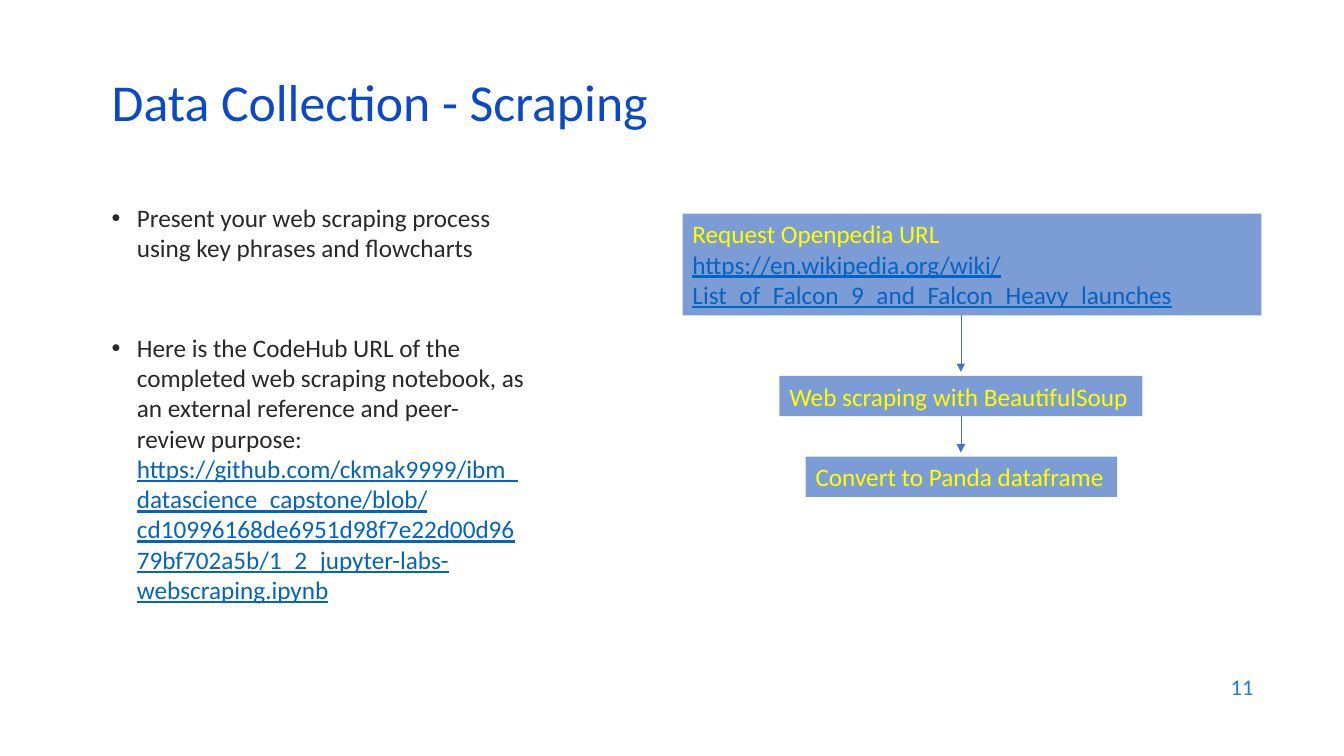
"""Build the web scraping slide with its notes and flowchart."""
from dataclasses import dataclass

import pptx
import pptx.dml.color
import pptx.enum.shapes
import pptx.enum.text
import pptx.oxml.ns
import pptx.util
from lxml import etree

Inches = pptx.util.Inches
Pt = pptx.util.Pt
Anchor = pptx.enum.text.MSO_ANCHOR
Align = pptx.enum.text.PP_ALIGN


@dataclass(frozen=True)
class Theme:
    font: str = "Calibri"
    title: str = "0B49CB"
    body: str = "292929"
    link: str = "0563C1"
    number: str = "1C7DDB"
    step: str = "4472C4"
    step_text: str = "FFFF00"
    title_size: int = 37
    body_size: int = 18
    number_size: int = 16


THEME = Theme()
NOTEBOOK_URL = (
    "https://github.com/ckmak9999/ibm_datascience_capstone/blob/"
    "cd10996168de6951d98f7e22d00d9679bf702a5b/1_2_jupyter-labs-webscraping.ipynb"
)
LAUNCHES_URL = "https://en.wikipedia.org/wiki/List_of_Falcon_9_and_Falcon_Heavy_launches"
FLOW_X = 9.53
STEPS = [
    (6.77, 2.12, 5.74, 1.01, ["Request Openpedia URL", LAUNCHES_URL]),
    (7.73, 3.73, 3.6, 0.4, ["Web scraping with BeautifulSoup"]),
    (7.99, 4.53, 3.09, 0.4, ["Convert to Panda dataframe"]),
]


def rgb(value):
    """Turn a hex string into a colour."""
    return pptx.dml.color.RGBColor.from_string(value)


def add_child(parent, tag, **attributes):
    """Append a drawing element to a parent element."""
    return etree.SubElement(parent, pptx.oxml.ns.qn(tag), **attributes)


def style_run(run, color, size):
    """Format a run, showing web addresses as underlined links."""
    is_link = run.text.startswith("https://")
    run.font.name = THEME.font
    run.font.size = Pt(size)
    run.font.color.rgb = rgb(THEME.link if is_link else color)
    if is_link:
        run.font.underline = True


def add_text(slide, left, top, width, height, anchor):
    """Add a wrapping text box and return its frame."""
    box = slide.shapes.add_textbox(Inches(left), Inches(top), Inches(width), Inches(height))
    box.text_frame.word_wrap = True
    box.text_frame.vertical_anchor = anchor
    return box.text_frame


def add_label(slide, place, text, color, size, align=Align.LEFT, spacing=1.0):
    """Add a single vertically centred line of text."""
    paragraph = add_text(slide, *place, Anchor.MIDDLE).paragraphs[0]
    paragraph.text = text
    paragraph.alignment = align
    paragraph.line_spacing = spacing
    style_run(paragraph.runs[0], color, size)


def add_bullet(paragraph, text, url=None):
    """Fill a bulleted paragraph, with an optional address on its own line."""
    properties = paragraph._p.get_or_add_pPr()
    properties.set("marL", str(Inches(0.25)))
    properties.set("indent", str(Inches(-0.25)))
    add_child(properties, "a:buFont", typeface="Arial")
    add_child(properties, "a:buChar", char="•")
    paragraph.add_run().text = text
    if url:
        paragraph.add_line_break()
        paragraph.add_run().text = url
    for run in paragraph.runs:
        style_run(run, THEME.body, THEME.body_size)


def add_notes_column(slide):
    """Add the two bullets on the left."""
    frame = add_text(slide, 1.01, 1.96, 4.3, 4.75, Anchor.TOP)
    add_bullet(frame.paragraphs[0],
               "Present your web scraping process using key phrases and flowcharts")
    reference = frame.add_paragraph()
    reference.space_before = Pt(49.5)
    add_bullet(reference,
               "Here is the CodeHub URL of the completed web scraping notebook, "
               "as an external reference and peer-review purpose:", NOTEBOOK_URL)


def add_step(slide, left, top, width, height, lines):
    """Add a translucent flowchart step."""
    step = slide.shapes.add_shape(
        pptx.enum.shapes.MSO_SHAPE.RECTANGLE,
        Inches(left), Inches(top), Inches(width), Inches(height))
    step.shadow.inherit = False
    step.line.fill.background()
    step.fill.solid()
    step.fill.fore_color.rgb = rgb(THEME.step)
    fill_color = step._element.spPr.find(".//" + pptx.oxml.ns.qn("a:srgbClr"))
    add_child(fill_color, "a:alpha", val="70000")
    frame = step.text_frame
    frame.word_wrap = len(lines) > 1
    frame.vertical_anchor = Anchor.TOP
    frame.text = "\n".join(lines)
    for paragraph in frame.paragraphs:
        paragraph.alignment = Align.LEFT
        style_run(paragraph.runs[0], THEME.step_text, THEME.body_size)


def add_arrow(slide, start_y, end_y):
    """Add a downward arrow on the flowchart axis."""
    arrow = slide.shapes.add_connector(
        pptx.enum.shapes.MSO_CONNECTOR.STRAIGHT,
        Inches(FLOW_X), Inches(start_y), Inches(FLOW_X), Inches(end_y))
    arrow.line.color.rgb = rgb(THEME.step)
    arrow.line.width = Pt(0.5)
    add_child(arrow.line._get_or_add_ln(), "a:tailEnd", type="triangle")
    add_child(arrow._element.spPr, "a:effectLst")


def add_flowchart(slide):
    """Add the steps and an arrow from each one to the next."""
    for step in STEPS:
        add_step(slide, *step)
    for (_, top, _, height, _), following in zip(STEPS, STEPS[1:]):
        add_arrow(slide, top + height, following[1] - 0.04)


def main():
    """Build and save the slide."""
    deck = pptx.Presentation()
    deck.slide_width, deck.slide_height = Inches(13.33), Inches(7.5)
    slide = deck.slides.add_slide(deck.slide_layouts[6])
    add_label(slide, (9.53, 6.59, 3, 0.44), "11", THEME.number, THEME.number_size, Align.RIGHT)
    add_notes_column(slide)
    add_label(slide, (1.01, 0.76, 11.5, 0.6), "Data Collection - Scraping",
              THEME.title, THEME.title_size, spacing=0.8)
    add_flowchart(slide)
    deck.save("out.pptx")


if __name__ == "__main__":
    main()
